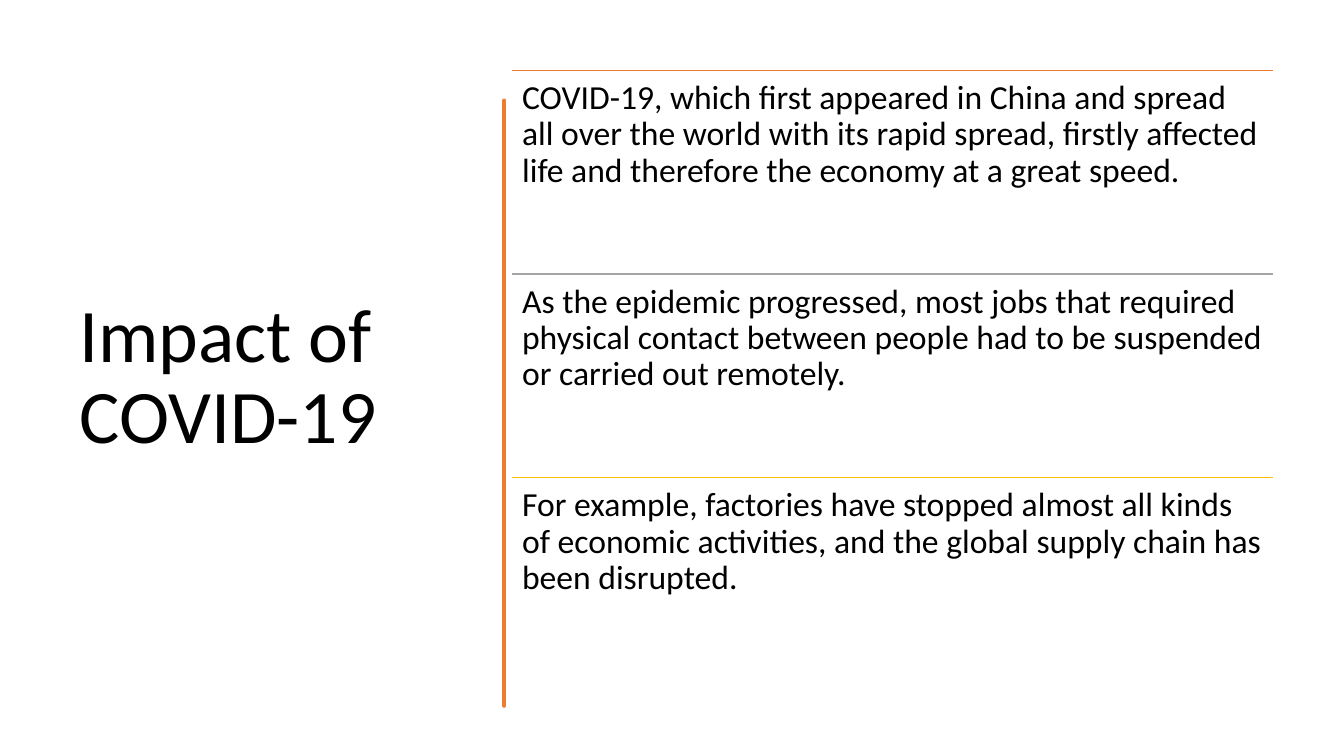
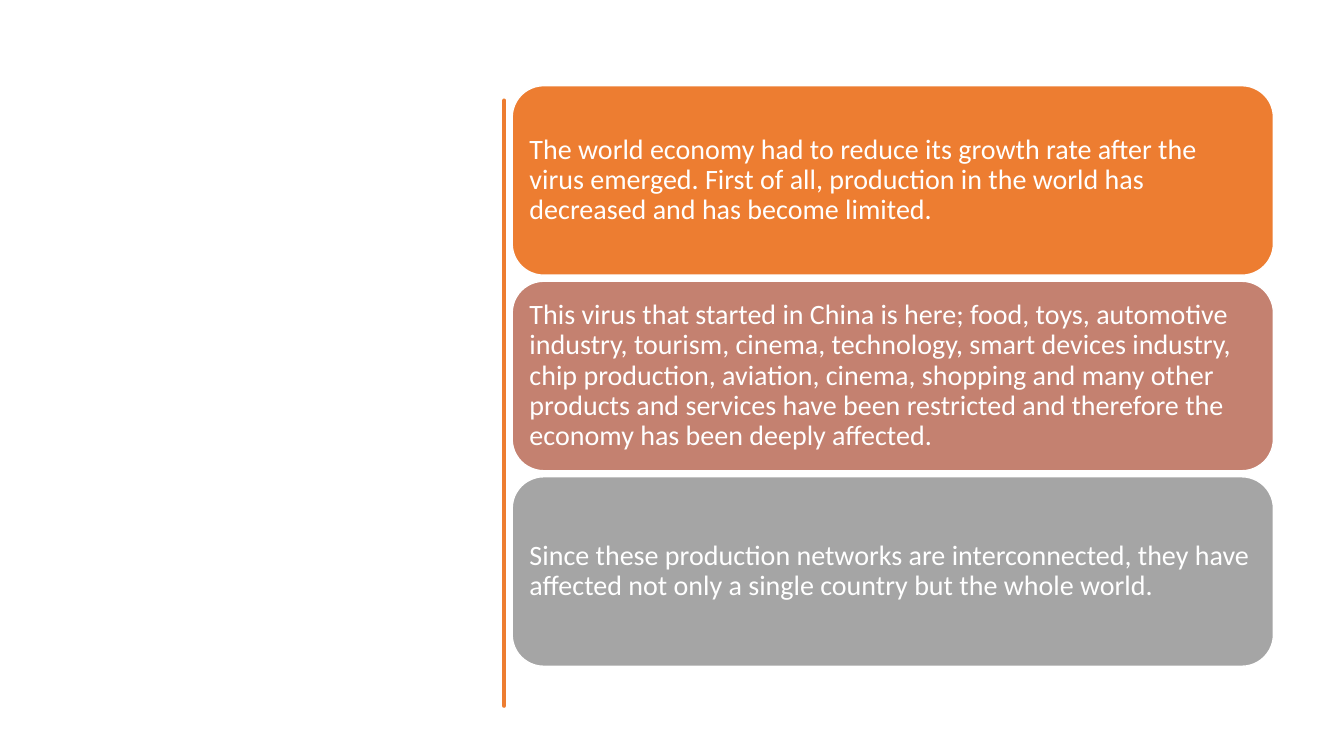
from pptx import Presentation
from pptx.dml.color import RGBColor
from pptx.enum.shapes import MSO_CONNECTOR as Conn, MSO_SHAPE as Kind
from pptx.enum.text import MSO_ANCHOR as Anchor, PP_ALIGN as Align
from pptx.oxml.ns import qn
from pptx.util import Inches, Pt
from lxml.etree import SubElement

# Content
COLORS = {"orange": "ED7D31", "rose": "C48170", "gray": "A5A5A5",
          "gold": "FFC000", "black": "000000", "white": "FFFFFF"}
FONT = "Calibri"
TITLE = "Impact of COVID-19"
POINTS = [
    ("orange", "COVID-19, which first appeared in China and spread all over the "
     "world with its rapid spread, firstly affected life and therefore the "
     "economy at a great speed."),
    ("gray", "As the epidemic progressed, most jobs that required physical contact "
     "between people had to be suspended or carried out remotely."),
    ("gold", "For example, factories have stopped almost all kinds of economic "
     "activities, and the global supply chain has been disrupted."),
]
CARDS = [
    ("orange", "The world economy had to reduce its growth rate after the virus "
     "emerged. First of all, production in the world has decreased and has "
     "become limited."),
    ("rose", "This virus that started in China is here; food, toys, automotive "
     "industry, tourism, cinema, technology, smart devices industry, chip "
     "production, aviation, cinema, shopping and many other products and "
     "services have been restricted and therefore the economy has been deeply "
     "affected."),
    ("gray", "Since these production networks are interconnected, they have "
     "affected not only a single country but the whole world."),
]

# Layout, in inches
LEFT, WIDTH = 5.08, 7.55
ROW_TOP, ROW_H = 0.7, 2.02
CARD_TOP, CARD_H, GAP = 0.85, 1.88, 0.06

# Hand-drawn bar: edge points from top to bottom, as (x, y)
RIGHT = [(4.75, 0.84), (4.76, 1.1), (4.75, 1.46), (4.74, 1.85), (4.75, 2.26),
         (4.75, 2.94), (4.75, 3.56), (4.76, 4.0), (4.75, 4.36), (4.73, 4.72),
         (4.75, 5.1), (4.76, 5.45), (4.75, 5.84), (4.75, 6.76)]
EDGE = [(4.73, 0.84), (4.74, 1.2), (4.72, 1.64), (4.73, 1.9), (4.73, 2.38),
        (4.72, 3.0), (4.73, 3.4), (4.72, 3.7), (4.73, 4.0), (4.72, 4.4),
        (4.73, 4.75), (4.72, 5.1), (4.73, 5.39), (4.73, 6.13), (4.73, 6.76)]


def color(name):
    return RGBColor.from_string(COLORS[name])


def write(shape, text, size, ink="black", anchor=Anchor.TOP, pad=(0.1, 0.1)):
    frame = shape.text_frame
    frame.word_wrap = True
    frame.vertical_anchor = anchor
    frame.margin_left = frame.margin_right = Inches(pad[0])
    frame.margin_top = frame.margin_bottom = Inches(pad[1])
    para = frame.paragraphs[0]
    para.alignment = Align.LEFT
    para.line_spacing = 0.9
    run = para.add_run()
    run.text = text
    run.font.name, run.font.size = FONT, Pt(size)
    run.font.color.rgb = color(ink)


def paint(shape, fill, line, weight):
    shape.shadow.inherit = False
    shape.fill.solid()
    shape.fill.fore_color.rgb = color(fill)
    shape.line.color.rgb = color(line)
    shape.line.width = Pt(weight)


def box(slide, left, top, width, height):
    return slide.shapes.add_textbox(*map(Inches, (left, top, width, height)))


def rule(slide, top, ink):
    line = slide.shapes.add_connector(
        Conn.STRAIGHT, *map(Inches, (LEFT, top, LEFT + WIDTH, top)))
    line.line.color.rgb = color(ink)
    line.line.width = Pt(1)
    SubElement(line._element.spPr, qn("a:effectLst"))


def new_slide(deck):
    """Blank slide with the shared bar."""
    slide = deck.slides.add_slide(deck.slide_layouts[6])
    start, *rest = RIGHT + EDGE[::-1]
    pen = slide.shapes.build_freeform(*start, scale=Inches(1))
    pen.add_line_segments(rest, close=True)
    bar = pen.convert_to_shape()
    paint(bar, "orange", "orange", 3.25)
    SubElement(bar.line._get_or_add_ln(), qn("a:round"))
    return slide


def main():
    deck = Presentation()
    deck.slide_width, deck.slide_height = Inches(13.33), Inches(7.5)

    # Slide 1: title and ruled points
    slide = new_slide(deck)
    write(box(slide, 0.69, 0.7, 3.74, 6.11), TITLE, 54,
          anchor=Anchor.MIDDLE, pad=(0.1, 0.05))
    for i, (ink, text) in enumerate(POINTS):
        top = ROW_TOP + i * ROW_H
        rule(slide, top, ink)
        write(box(slide, LEFT, top, WIDTH, ROW_H), text, 24)

    # Slide 2: rounded cards
    slide = new_slide(deck)
    for i, (fill, text) in enumerate(CARDS):
        top = CARD_TOP + i * (CARD_H + GAP)
        card = slide.shapes.add_shape(
            Kind.ROUNDED_RECTANGLE, *map(Inches, (LEFT, top, WIDTH, CARD_H)))
        paint(card, fill, "white", 1)
        write(card, text, 20, ink="white", anchor=Anchor.MIDDLE, pad=(0.08, 0.08))

    deck.save("out.pptx")


if __name__ == "__main__":
    main()
